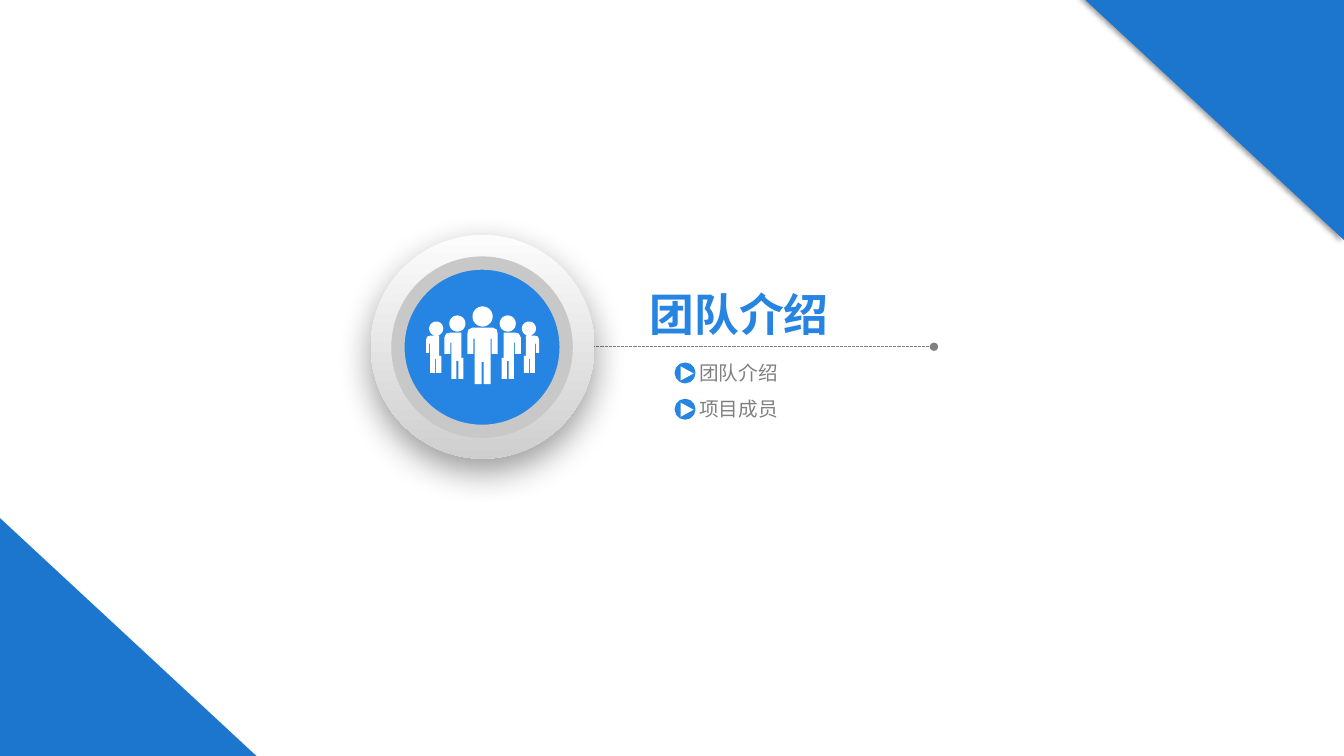
from math import cos, pi, sin

from lxml.etree import SubElement
from pptx import Presentation
from pptx.dml.color import RGBColor
from pptx.enum.dml import MSO_LINE
from pptx.enum.shapes import MSO_CONNECTOR, MSO_SHAPE
from pptx.enum.text import MSO_AUTO_SIZE
from pptx.oxml import parse_xml
from pptx.oxml.ns import nsdecls, qn
from pptx.util import Inches, Pt

BLUE, DARK_BLUE, GREY, WHITE = "2684E2", "1C76CE", "808080", "FFFFFF"
FONT = "Noto Sans CJK SC"
TITLE = {"size": Pt(32), "bold": True}
ITEM = {"size": Pt(14), "bold": False}
AXIS = 4.79
HEADS = [(0, 3.14, 0.1), (0.25, 3.21, 0.08), (0.46, 3.26, 0.07)]
LEADER_HALF = [
    (0, 3.25), (0.1, 3.25), (0.14, 3.27), (0.15, 3.31), (0.15, 3.51), (0.09, 3.51),
    (0.09, 3.36), (0.08, 3.36), (0.08, 3.81), (0.01, 3.81), (0.01, 3.59), (0, 3.59)]
INNER_BODY = [
    (0.19, 3.55), (0.19, 3.76), (0.24, 3.76), (0.24, 3.58), (0.26, 3.58), (0.26, 3.76),
    (0.31, 3.76), (0.31, 3.4), (0.32, 3.4), (0.32, 3.51), (0.38, 3.51), (0.38, 3.35),
    (0.36, 3.31), (0.32, 3.3), (0.21, 3.3), (0.21, 3.55)]
OUTER_BODY = [
    (0.41, 3.53), (0.41, 3.7), (0.46, 3.7), (0.46, 3.56), (0.47, 3.56), (0.47, 3.7),
    (0.52, 3.7), (0.52, 3.41), (0.53, 3.41), (0.53, 3.5), (0.56, 3.5), (0.56, 3.37),
    (0.55, 3.34), (0.52, 3.33), (0.43, 3.33), (0.43, 3.53)]


def rgb(value):
    return RGBColor.from_string(value)


def mirror(points):
    return [(-x, y) for x, y in points]


def circle(x, y, radius, steps=36):
    angles = [2 * pi * i / steps for i in range(steps)]
    return [(x + radius * cos(a), y + radius * sin(a)) for a in angles]


class Deck:
    """Hold the shared style and the slide being drawn."""

    def __init__(self, slide):
        self.shapes = slide.shapes

    def paint(self, sp, fill, line=None, width=0):
        sp.shadow.inherit = False
        if fill:
            sp.fill.solid()
            sp.fill.fore_color.rgb = rgb(fill)
        if line:
            sp.line.color.rgb = rgb(line)
            sp.line.width = Pt(width)
        else:
            sp.line.fill.background()
        return sp

    def shape(self, kind, box, fill, line=None, width=0, rotation=0):
        sp = self.shapes.add_shape(kind, *map(Inches, box))
        sp.rotation = rotation
        return self.paint(sp, fill, line, width)

    def shadow(self, sp, blur, dist, angle):
        effects = sp._element.spPr.find(qn("a:effectLst"))
        effects.append(parse_xml(
            f'<a:outerShdw {nsdecls("a")} blurRad="{Pt(blur)}" dist="{Pt(dist)}" '
            f'dir="{angle * 60000}" algn="ctr" rotWithShape="0"><a:srgbClr val="000000">'
            '<a:alpha val="40000"/></a:srgbClr></a:outerShdw>'))

    def text(self, box, text, color, style, inset=None):
        sp = self.shapes.add_textbox(*map(Inches, box))
        tf = sp.text_frame
        tf.word_wrap = True
        tf.auto_size = MSO_AUTO_SIZE.SHAPE_TO_FIT_TEXT
        if inset is not None:
            for side in ("left", "top", "right", "bottom"):
                setattr(tf, f"margin_{side}", Inches(inset))
        r = tf.paragraphs[0].add_run()
        r.text = text
        for name, value in {"name": FONT, **style}.items():
            setattr(r.font, name, value)
        r.font.color.rgb = rgb(color)
        SubElement(r.font._element, qn("a:ea"), typeface=FONT)

    def rule(self, x1, x2, y):
        cx = self.shapes.add_connector(MSO_CONNECTOR.STRAIGHT, *map(Inches, (x1, y, x2, y)))
        cx.line.color.rgb = rgb(GREY)
        cx.line.width = Pt(0.75)
        cx.line.dash_style = MSO_LINE.SQUARE_DOT
        ln = cx.line._get_or_add_ln()
        for end in ("a:headEnd", "a:tailEnd"):
            SubElement(ln, qn(end), type="oval")
        SubElement(cx._element.spPr, qn("a:effectLst"))

    def outline(self, contours, fill):
        paths = [[(Inches(AXIS + x), Inches(y)) for x, y in c] for c in contours]
        fb = self.shapes.build_freeform(*paths[0][0])
        for i, points in enumerate(paths):
            if i:
                fb.move_to(*points[0])
            fb.add_line_segments(points[1:], close=True)
        self.paint(fb.convert_to_shape(), fill)

    def badge(self):
        disc = self.shape(MSO_SHAPE.OVAL, (3.68, 2.33, 2.22, 2.22), None)
        disc.fill.gradient()
        disc.fill.gradient_angle = 270
        for stop, color in zip(disc.fill.gradient_stops, ("FCFCFC", "CFCFCF")):
            stop.color.rgb = rgb(color)
        self.shadow(disc, 25, 9, 90)
        self.shape(MSO_SHAPE.OVAL, (3.95, 2.61, 1.67, 1.67), BLUE, "C8C8C8", 9.5)
        sides = [circle(*head) for head in HEADS[1:]] + [INNER_BODY, OUTER_BODY]
        leader = [circle(*HEADS[0]), LEADER_HALF + mirror(LEADER_HALF[-2:0:-1])]
        self.outline(leader + sides + [mirror(c) for c in sides], WHITE)

    def item(self, y, text):
        self.text((6.94, y, 1.34, 0.24), text, GREY, ITEM, inset=0)
        self.shape(MSO_SHAPE.OVAL, (6.71, y + 0.03, 0.18, 0.18), BLUE, BLUE, 2)
        self.shape(MSO_SHAPE.ISOSCELES_TRIANGLE, (6.75, y + 0.06, 0.14, 0.13), WHITE, rotation=90)

    def corner(self, x, y, rotation):
        sp = self.shape(MSO_SHAPE.ISOSCELES_TRIANGLE, (x, y, 2.61, 2.42), DARK_BLUE,
                        rotation=rotation)
        sp.adjustments[0] = 0
        self.shadow(sp, 4, 3, 180)


def main():
    prs = Presentation()
    prs.slide_width, prs.slide_height = Inches(13.34), Inches(7.5)
    deck = Deck(prs.slides.add_slide(prs.slide_layouts[6]))
    deck.rule(5.72, 9.27, 3.44)
    deck.badge()
    deck.text((6.35, 2.8, 2.56, 0.64), "团队介绍", BLUE, TITLE)
    for i, text in enumerate(("团队介绍", "项目成员")):
        deck.item(3.58 + 0.36 * i, text)
    deck.corner(10.74, -0.03, 180)
    deck.corner(0, 5.14, 0)
    prs.save("out.pptx")


if __name__ == "__main__":
    main()
